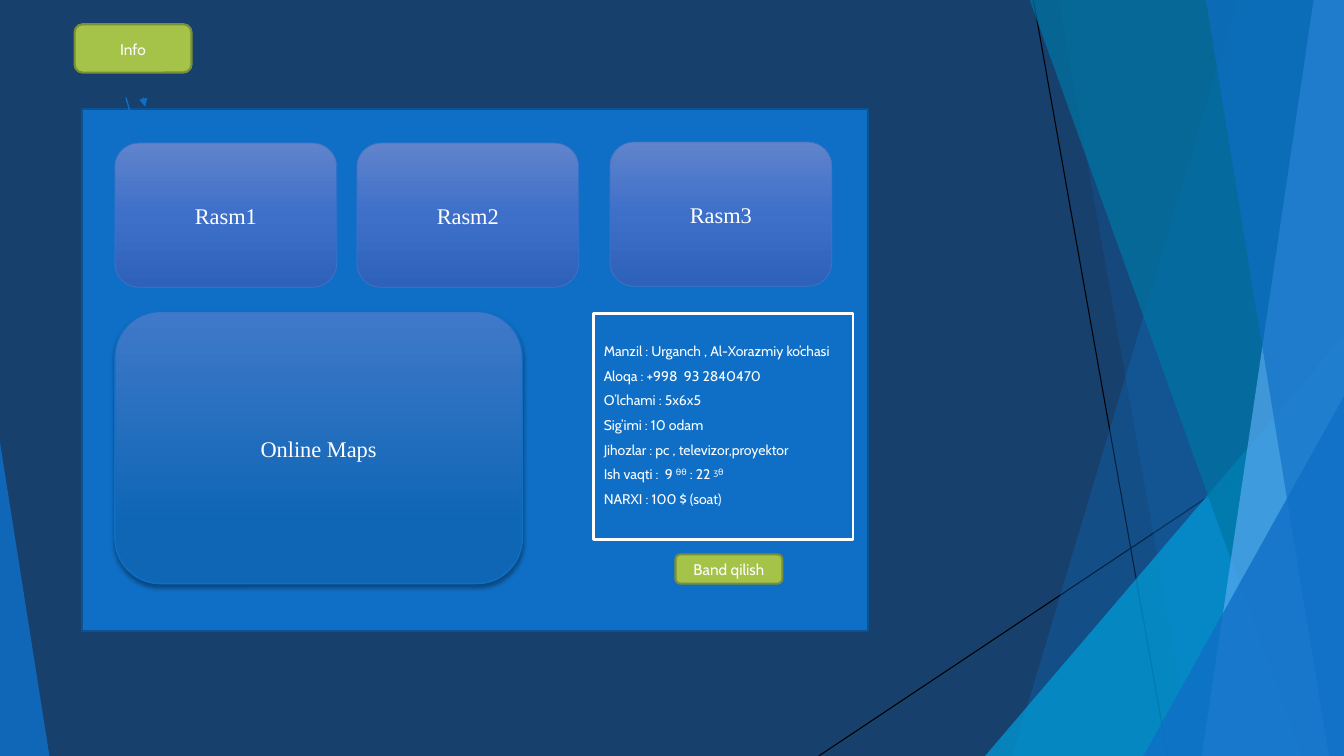
import pptx
import pptx.util
import pptx.dml.color
import pptx.enum.shapes
import pptx.enum.text
import pptx.oxml
import pptx.oxml.ns

Inches = pptx.util.Inches
Pt = pptx.util.Pt
SHAPE = pptx.enum.shapes.MSO_SHAPE
ALIGN = pptx.enum.text.PP_ALIGN
NS = pptx.oxml.ns.nsdecls("a")

NAVY, BLUE, WHITE = "17406D", "0F6FC6", "FFFFFF"
SERIF, SANS = "Times New Roman", "Cabin"
WIDTH, HEIGHT = 13.33, 7.5

DETAILS = [
    "Manzil : Urganch , Al-Xorazmiy ko’chasi",
    "Aloqa : +998  93 2840470",
    "O’lchami : 5x6x5",
    "Sig’imi : 10 odam",
    "Jihozlar : pc , televizor,proyektor",
    "Ish vaqti :  9 ᶿᶿ : 22 ᶾᶿ",
    "NARXI : 100 $ (soat)",
]


def color(value):
    return pptx.dml.color.RGBColor.from_string(value)


# Fills, lines and effects
def paint(shape, fill, line=None, weight=1, opacity=100):
    shape.shadow.inherit = False
    shape.fill.solid()
    shape.fill.fore_color.rgb = color(fill)
    if opacity < 100:
        tint = shape.fill._xPr.find(".//" + pptx.oxml.ns.qn("a:srgbClr"))
        tint.append(pptx.oxml.parse_xml(f'<a:alpha {NS} val="{opacity * 1000}"/>'))
    if line:
        shape.line.color.rgb = color(line)
        shape.line.width = Pt(weight)
    else:
        shape.line.fill.background()


def shade_down(shape, stops):
    marks = "".join(f'<a:gs pos="{place * 1000}"><a:srgbClr val="{tint}"/></a:gs>'
                    for place, tint in stops)
    gradient = pptx.oxml.parse_xml(
        f'<a:gradFill {NS} rotWithShape="1"><a:gsLst>{marks}</a:gsLst>'
        '<a:lin ang="5400000" scaled="0"/></a:gradFill>')
    solid = shape._element.spPr.find(pptx.oxml.ns.qn("a:solidFill"))
    solid.getparent().replace(solid, gradient)


def cast_shadow(shape):
    effects = shape._element.spPr.find(pptx.oxml.ns.qn("a:effectLst"))
    effects.append(pptx.oxml.parse_xml(
        f'<a:outerShdw {NS} blurRad="{Pt(3)}" dist="{Pt(2)}" dir="5400000" '
        'algn="ctr" rotWithShape="0"><a:srgbClr val="000000">'
        '<a:alpha val="35000"/></a:srgbClr></a:outerShdw>'))


# Basic parts
def add_box(page, kind, left, top, width, height):
    return page.shapes.add_shape(kind, Inches(left), Inches(top),
                                 Inches(width), Inches(height))


def add_line(page, start, end, tint, weight, arrow=False):
    line = page.shapes.add_connector(
        pptx.enum.shapes.MSO_CONNECTOR.STRAIGHT,
        *(Inches(value) for value in (*start, *end)))
    line.line.color.rgb = color(tint)
    line.line.width = Pt(weight)
    if arrow:
        line.line._get_or_add_ln().append(
            pptx.oxml.parse_xml(f'<a:tailEnd {NS} type="triangle"/>'))
    line._element.spPr.append(pptx.oxml.parse_xml(f"<a:effectLst {NS}/>"))


def write(shape, lines, size, font, align=ALIGN.CENTER, spacing=None, after=0):
    frame = shape.text_frame
    frame.word_wrap = True
    frame.vertical_anchor = pptx.enum.text.MSO_ANCHOR.MIDDLE
    for index, line in enumerate(lines):
        para = frame.add_paragraph() if index else frame.paragraphs[0]
        para.alignment = align
        para.line_spacing = spacing
        para.space_after = Pt(after)
        span = para.add_run()
        span.text = line
        span.font.size = Pt(size)
        span.font.name = font
        span.font.color.rgb = color(WHITE)


def add_button(page, label, left, top, width, height):
    button = add_box(page, SHAPE.ROUNDED_RECTANGLE, left, top, width, height)
    paint(button, "A5C249", "7A9036", 1.5)
    write(button, [label], 11, SANS, spacing=1.07, after=8)


# Backdrop: translucent facets along the edges
def add_facet(page, top_left, top_right, bottom_left, fill, opacity):
    corners = [(top_right, -0.01), (WIDTH, HEIGHT), (bottom_left, HEIGHT),
               (top_left, -0.01)]
    builder = page.shapes.build_freeform(Inches(top_left), Inches(-0.01))
    builder.add_line_segments([(Inches(x), Inches(y)) for x, y in corners])
    paint(builder.convert_to_shape(), fill, opacity=opacity)


def add_triangle(page, left, top, width, apex, fill, opacity):
    triangle = add_box(page, SHAPE.ISOSCELES_TRIANGLE, left, top, width, HEIGHT - top)
    triangle.adjustments[0] = apex
    paint(triangle, fill, opacity=opacity)


def add_backdrop(page):
    page.background.fill.solid()
    page.background.fill.fore_color.rgb = color(NAVY)
    add_line(page, (10.25, 0), (11.58, HEIGHT), "000000", 0.75)
    add_line(page, (WIDTH, 4.03), (8.12, HEIGHT), "000000", 0.75)
    add_facet(page, 12.28, WIDTH, 10.04, BLUE, 30)
    add_facet(page, 10.5, WIDTH, 11.83, BLUE, 20)
    add_triangle(page, 9.77, 3.33, 3.56, 1, "009DD9", 72)
    add_facet(page, 10.21, WIDTH, 12.91, "0076A3", 70)
    add_facet(page, 13.03, WIDTH, 11.92, "59AAF2", 70)
    add_facet(page, 11.96, WIDTH, 13.18, BLUE, 65)
    add_triangle(page, 11.34, 3.93, 1.99, 1, BLUE, 80)
    add_triangle(page, 0, 4.39, 0.49, 0, BLUE, 85)


# Info panel: photos, map, details and booking button
def add_panel(page, left, top, width, height):
    paint(add_box(page, SHAPE.RECTANGLE, left, top, width, height),
          BLUE, "0B5292", 1.5)

    photos = [("Rasm1", 0.33, 0.34), ("Rasm2", 2.73, 0.34), ("Rasm3", 5.24, 0.33)]
    for label, x, y in photos:
        photo = add_box(page, SHAPE.ROUNDED_RECTANGLE, left + x, top + y, 2.2, 1.43)
        paint(photo, "3E70CA", "4472C4", 0.5)
        shade_down(photo, [(0, "6083CB"), (50, "3E70CA"), (100, "2E61BA")])
        write(photo, [label], 16, SERIF)

    details = add_box(page, SHAPE.RECTANGLE, left + 5.08, top + 2.03, 2.57, 2.24)
    paint(details, BLUE, WHITE, 2)
    write(details, DETAILS, 10, SANS, ALIGN.LEFT, 0.8, 8)

    add_button(page, "Band qilish", left + 5.89, top + 4.42, 1.06, 0.29)

    city_map = add_box(page, SHAPE.ROUNDED_RECTANGLE, left + 0.33, top + 2.01, 4.04, 2.7)
    paint(city_map, BLUE, BLUE, 1)
    shade_down(city_map, [(0, "4079C9"), (78, "0E66B5"), (100, "0E66B5")])
    cast_shadow(city_map)
    write(city_map, ["Online Maps"], 16, SERIF, spacing=1.07, after=8)


# Info button with the arrows leading down to the panel
def add_header(page, left, top, width, height):
    add_button(page, "Info", left, top, width, height)
    for x, run, drop in [(0.51, 0.06, 0.21), (0.68, 0.02, 0.09)]:
        start = (left + x, top + 0.73)
        add_line(page, start, (start[0] + run, start[1] + drop), BLUE, 1, arrow=True)


def main():
    deck = pptx.Presentation()
    deck.slide_width, deck.slide_height = Inches(WIDTH), Inches(HEIGHT)
    page = deck.slides.add_slide(deck.slide_layouts[6])
    add_backdrop(page)
    add_panel(page, 0.81, 1.08, 7.8, 5.18)
    add_header(page, 0.74, 0.24, 1.16, 0.48)
    deck.save("out.pptx")


if __name__ == "__main__":
    main()
